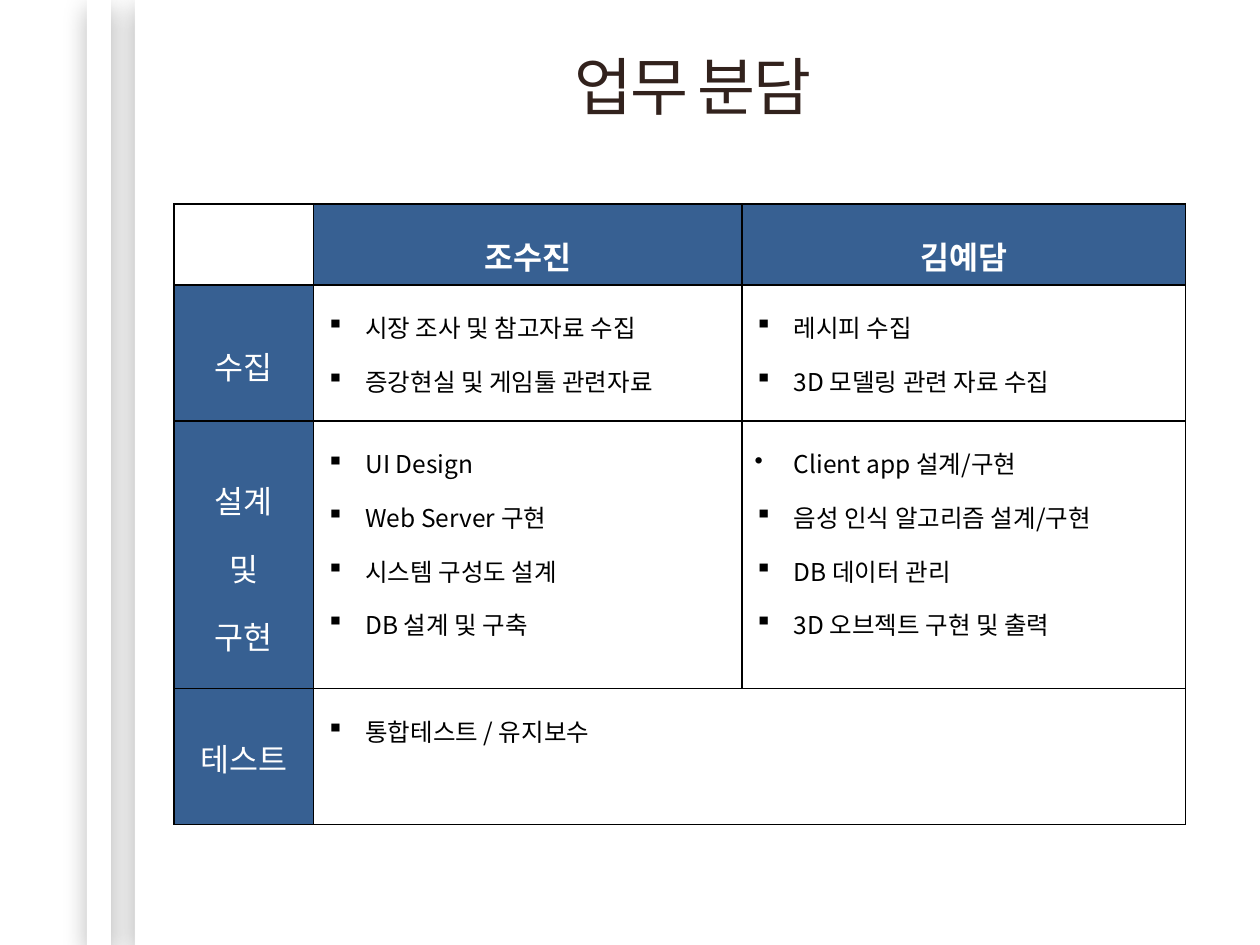
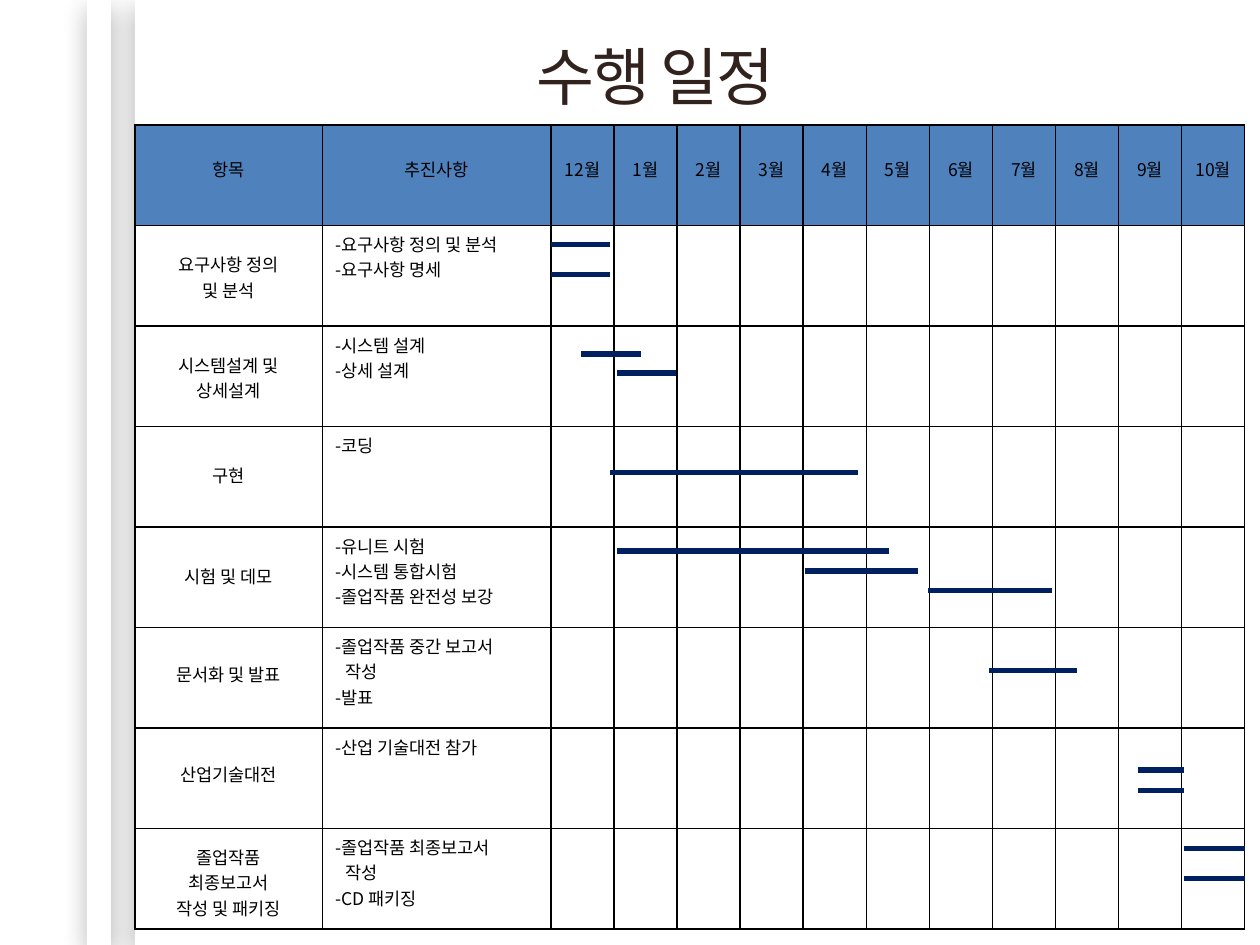
from collections import namedtuple

from lxml import etree
from pptx import Presentation
from pptx.dml.color import RGBColor
from pptx.enum.shapes import MSO_CONNECTOR, MSO_SHAPE
from pptx.enum.text import MSO_ANCHOR, PP_ALIGN
from pptx.oxml.ns import qn
from pptx.util import Inches, Pt

Box = namedtuple("Box", "left top width height")
SLIDE = Box(0, 0, Inches(10), Inches(7.5))
TITLE_ONLY = 5

FONT = "Noto Sans CJK KR"
BLACK = RGBColor(0x00, 0x00, 0x00)
WHITE = RGBColor(0xFF, 0xFF, 0xFF)
TITLE_BROWN = RGBColor(0x32, 0x22, 0x1D)
DUTY_BLUE = RGBColor(0x37, 0x60, 0x92)
HEADER_BLUE = RGBColor(0x4F, 0x81, 0xBD)
BAR_NAVY = RGBColor(0x00, 0x20, 0x60)

CENTER = PP_ALIGN.CENTER
LEFT = PP_ALIGN.LEFT
MIDDLE = MSO_ANCHOR.MIDDLE
RECTANGLE = MSO_SHAPE.RECTANGLE
STRAIGHT = MSO_CONNECTOR.STRAIGHT

PAGE_PANELS = [(0.107, 0, 0.893, 1), (0.069, 0, 0.019, 1)]

MEMBERS = ["조수진", "김예담"]
# stage lines, top margin in inches, duties of each member
DUTIES = [
    (["수집"], 0.46, [
        ["시장 조사 및 참고자료 수집", "증강현실 및 게임툴 관련자료"],
        ["레시피 수집", "3D 모델링 관련 자료 수집"]]),
    (["설계", "및", "구현"], 0.26, [
        ["UI Design", "Web Server 구현", "시스템 구성도 설계", "DB 설계 및 구축"],
        ["Client app 설계/구현", "음성 인식 알고리즘 설계/구현",
         "DB 데이터 관리", "3D 오브젝트 구현 및 출력"]]),
    (["테스트"], 0.19, [["통합테스트 / 유지보수"]]),
]

MONTHS = [12, *range(1, 11)]
# item lines, top margin in inches, tasks, bars as (first month, last month, share of row)
SCHEDULE = [
    (["요구사항 정의", "및 분석"], 0.21,
     ["-요구사항 정의 및 분석", "-요구사항 명세"],
     [(0, 0.94, 0.19), (0, 0.94, 0.49)]),
    (["시스템설계 및", "상세설계"], 0.21,
     ["-시스템 설계", "-상세 설계"],
     [(0.48, 1.42, 0.28), (1.04, 1.98, 0.47)]),
    (["구현"], 0.29, ["-코딩"], [(0.94, 4.87, 0.46)]),
    (["시험 및 데모"], 0.29,
     ["-유니트 시험", "-시스템 통합시험", "-졸업작품 완전성 보강"],
     [(1.04, 5.36, 0.24), (4.02, 5.82, 0.44), (5.98, 7.95, 0.63)]),
    (["문서화 및 발표"], 0.27,
     ["-졸업작품 중간 보고서", "작성", "-발표"],
     [(6.95, 8.34, 0.43)]),
    (["산업기술대전"], 0.27, ["-산업 기술대전 참가"],
     [(9.3, 10.03, 0.42), (9.3, 10.03, 0.62)]),
    (["졸업작품", "최종보고서", "작성 및 패키징"], 0.13,
     ["-졸업작품 최종보고서", "작성", "-CD 패키징"],
     [(10.03, 11, 0.2), (10.03, 11, 0.5)]),
]


def part_of(box, left, top, width, height):
    """Return the part of a box that the given shares describe."""
    return Box(int(box.left + left * box.width), int(box.top + top * box.height),
               int(width * box.width), int(height * box.height))


def add_xml(parent, tag, **attributes):
    return etree.SubElement(parent, qn(tag), attributes)


def add_span(para, text, size, color, bold=False):
    span = para.add_run()
    span.text = text
    font = span.font
    font.name, font.size, font.bold = FONT, Pt(size), bold
    font.color.rgb = color
    add_xml(font._element, "a:ea", typeface=FONT)
    return span


def add_shadow(shape):
    effects = add_xml(shape._element.spPr, "a:effectLst")
    shadow = add_xml(effects, "a:outerShdw", blurRad=str(Pt(15)), dist=str(Pt(5)),
                     dir="5400000", algn="ctr", rotWithShape="0")
    color = add_xml(shadow, "a:srgbClr", val=str(BLACK))
    add_xml(color, "a:alpha", val="30000")


def add_page(deck, title, title_box):
    page = deck.slides.add_slide(deck.slide_layouts[TITLE_ONLY])
    for shares in PAGE_PANELS:
        panel = page.shapes.add_shape(RECTANGLE, *part_of(SLIDE, *shares))
        panel.fill.solid()
        panel.fill.fore_color.rgb = WHITE
        panel.line.fill.background()
        add_shadow(panel)

    heading = page.shapes.title
    page.shapes._spTree.append(heading._element)  # bring in front of the panels
    heading.left, heading.top, heading.width, heading.height = title_box
    heading.text_frame.vertical_anchor = MIDDLE
    para = heading.text_frame.paragraphs[0]
    para.alignment = CENTER
    span = add_span(para, title, 36, TITLE_BROWN)
    span.font._element.set("spc", "-120")
    return page


def add_grid(page, box, columns, rows):
    """Add a plain table whose columns and rows share the box by weight."""
    table = page.shapes.add_table(len(rows), len(columns), *box).table
    table.first_row = table.horz_banding = False
    for column, weight in zip(table.columns, columns):
        column.width = int(box.width * weight / sum(columns))
    for row, weight in zip(table.rows, rows):
        row.height = int(box.height * weight / sum(rows))
    for cell in table.iter_cells():
        paint_cell(cell, WHITE)
        add_borders(cell)
    return table


def paint_cell(cell, color):
    cell.fill.solid()
    cell.fill.fore_color.rgb = color


def add_borders(cell):
    properties = cell._tc.get_or_add_tcPr()
    for place, side in enumerate(("a:lnL", "a:lnR", "a:lnT", "a:lnB")):
        border = add_xml(properties, side, w=str(Pt(1)))
        fill = add_xml(border, "a:solidFill")
        add_xml(fill, "a:srgbClr", val=str(BLACK))
        properties.insert(place, border)


def write_cell(cell, lines, size, color=BLACK, align=CENTER, top=0.05,
               spacing=1.0, bold=False):
    """Write one paragraph per line and return the paragraphs."""
    cell.margin_top = Inches(top)
    frame = cell.text_frame
    paras = []
    for number, line in enumerate(lines):
        para = frame.add_paragraph() if number else frame.paragraphs[0]
        para.alignment, para.line_spacing = align, spacing
        add_span(para, line, size, color, bold)
        paras.append(para)
    return paras


def indent(para, left, first=0.0):
    properties = para._p.get_or_add_pPr()
    properties.set("marL", str(Inches(left)))
    properties.set("indent", str(Inches(first)))
    return properties


def add_duty_table(page, box):
    table = add_grid(page, box, [1.11, 3.4, 3.52], [0.64, 1.08, 2.12, 1.08])
    for column, member in enumerate(MEMBERS, 1):
        cell = table.cell(0, column)
        paint_cell(cell, DUTY_BLUE)
        write_cell(cell, [member], 18, WHITE, spacing=1.5, bold=True)
    for row, (stage, top, duties) in enumerate(DUTIES, 1):
        cell = table.cell(row, 0)
        paint_cell(cell, DUTY_BLUE)
        write_cell(cell, stage, 18, WHITE, top=top,
                   spacing=1.5 if row > 1 else 1.0)
        if len(duties) == 1:
            table.cell(row, 1).merge(table.cell(row, 2))
        for column, lines in enumerate(duties, 1):
            for para in write_cell(table.cell(row, column), lines, 14,
                                   align=LEFT, spacing=1.5):
                bullet = "•" if lines[0].startswith("Client") and para.text == lines[0] else "▪"
                add_xml(indent(para, 0.31, -0.31), "a:buChar", char=bullet)


def add_schedule_table(page, box):
    columns = [1.49, 1.81] + [0.5] * len(MONTHS)
    table = add_grid(page, box, columns, [1] * (len(SCHEDULE) + 1))
    headers = ["항목", "추진사항"] + [f"{month}월" for month in MONTHS]
    for column, header in enumerate(headers):
        cell = table.cell(0, column)
        paint_cell(cell, HEADER_BLUE)
        write_cell(cell, [header], 10, top=0.25)
    for row, (item, top, tasks, _) in enumerate(SCHEDULE, 1):
        write_cell(table.cell(row, 0), item, 10, top=top)
        for para in write_cell(table.cell(row, 1), tasks, 10, align=LEFT):
            if not para.text.startswith("-"):
                indent(para, 0.08)
    return table


def add_schedule_bars(page, box, table):
    months_left = box.left + table.columns[0].width + table.columns[1].width
    month_width = table.columns[2].width
    row_height = table.rows[0].height
    for row, (_, _, _, bars) in enumerate(SCHEDULE, 1):
        for first, last, share in bars:
            start, end = (int(months_left + month * month_width) for month in (first, last))
            height = int(box.top + (row + share) * row_height)
            bar = page.shapes.add_connector(STRAIGHT, start, height, end, height)
            bar.line.color.rgb = BAR_NAVY
            bar.line.width = Pt(3)
            add_xml(bar._element.spPr, "a:effectLst")


def build_duty_page(deck):
    page = add_page(deck, "업무 분담", part_of(SLIDE, 0.1, 0.04, 0.9, 0.1))
    add_duty_table(page, part_of(SLIDE, 0.138, 0.216, 0.803, 0.656))


def build_schedule_page(deck):
    page = add_page(deck, "수행 일정", part_of(SLIDE, 0.07, 0.03, 0.9, 0.1))
    box = part_of(SLIDE, 0.107, 0.132, 0.881, 0.851)
    table = add_schedule_table(page, box)
    add_schedule_bars(page, box, table)


def main():
    deck = Presentation()
    deck.slide_width, deck.slide_height = SLIDE.width, SLIDE.height
    build_duty_page(deck)
    build_schedule_page(deck)
    deck.save("out.pptx")


if __name__ == "__main__":
    main()
